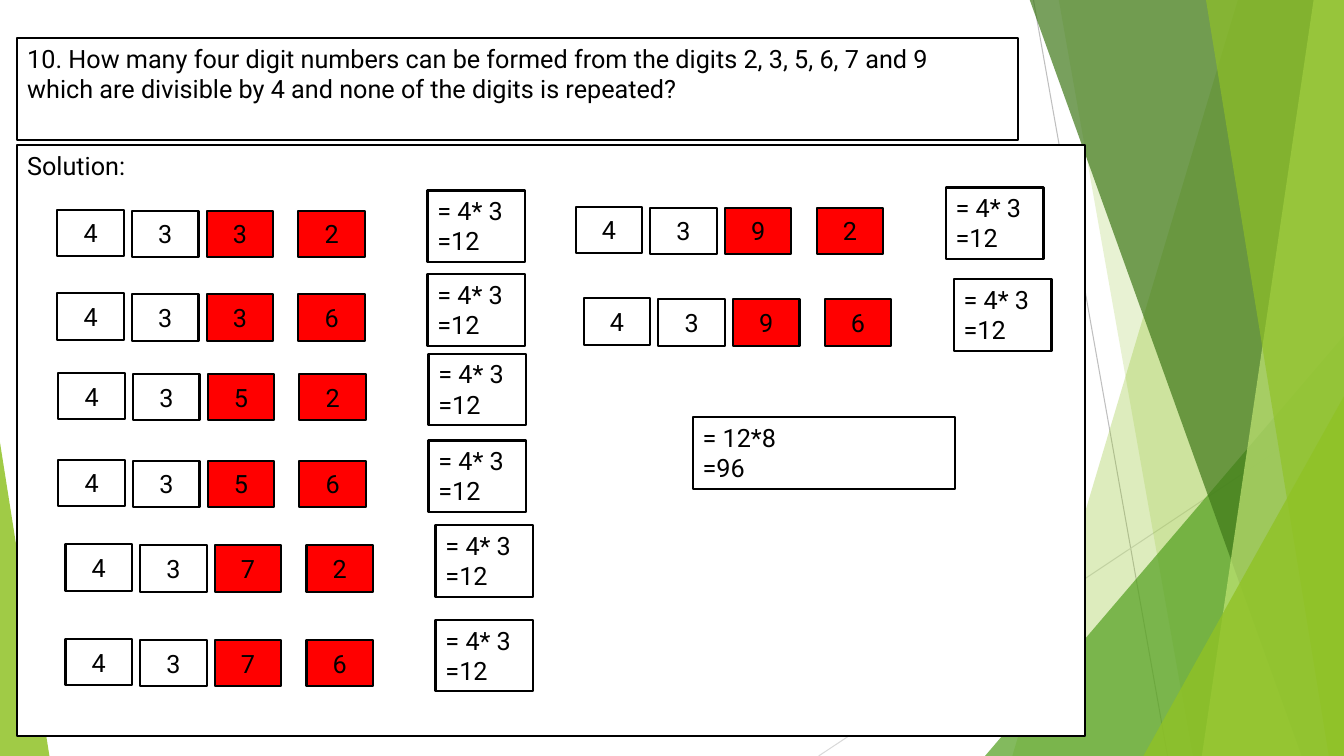
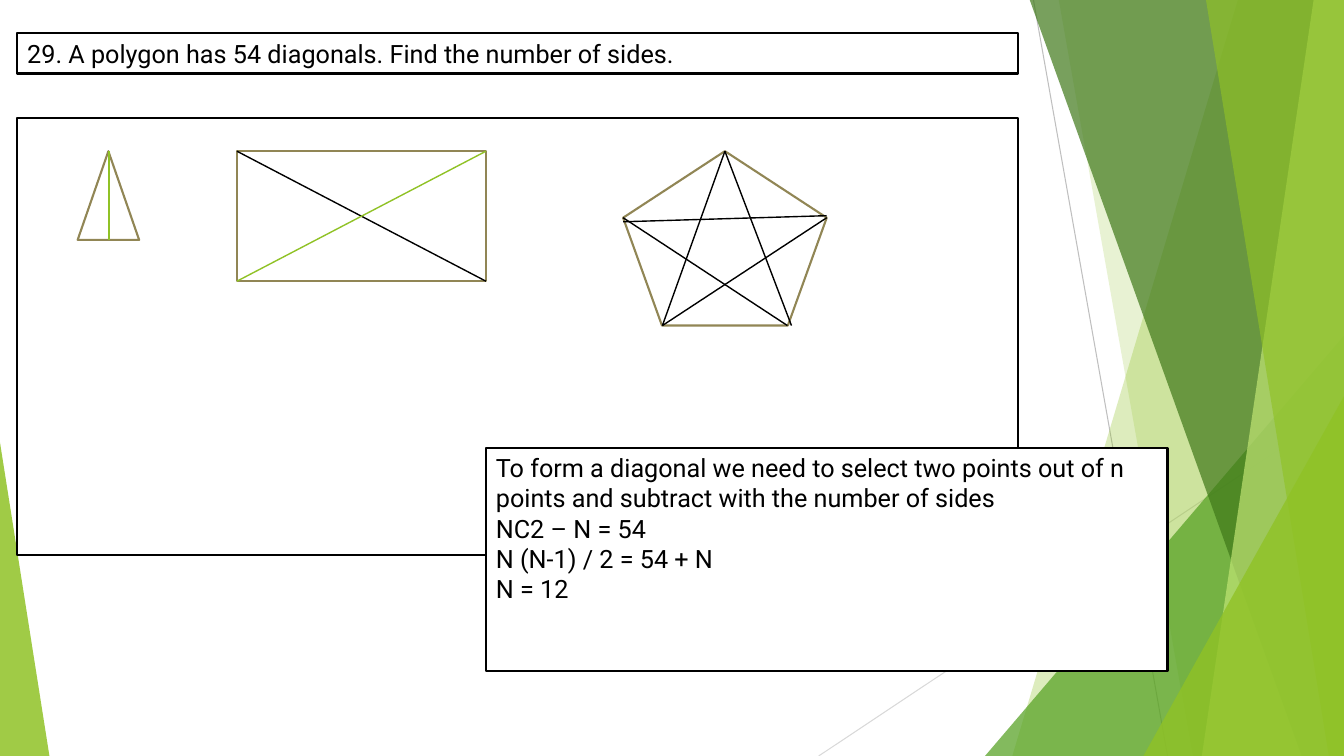
from dataclasses import dataclass

import pptx
import pptx.dml.color
import pptx.enum.shapes
import pptx.enum.text
import pptx.oxml.ns
import pptx.util
from lxml import etree

Inches = pptx.util.Inches
RGBColor = pptx.dml.color.RGBColor
Preset = pptx.enum.shapes.MSO_SHAPE
Anchor = pptx.enum.text.MSO_ANCHOR
Align = pptx.enum.text.PP_ALIGN

BLACK = RGBColor(0x00, 0x00, 0x00)
WHITE = RGBColor(0xFF, 0xFF, 0xFF)
RED = RGBColor(0xFF, 0x00, 0x00)
OLIVE = RGBColor(0x91, 0x86, 0x55)
GREEN = RGBColor(0x90, 0xC2, 0x26)
MID_GREEN = RGBColor(0x54, 0xA0, 0x21)
DARK_GREEN = RGBColor(0x3F, 0x78, 0x19)
PALE_GREEN = RGBColor(0xC0, 0xE4, 0x74)
GRAY = RGBColor(0xBF, 0xBF, 0xBF)
LIGHT_GRAY = RGBColor(0xD9, 0xD9, 0xD9)

FONT = "Roboto"
WIDTH, HEIGHT = 13.33, 7.5
BAND_TOP = -0.01
LEFT_MARGIN, QUESTION_WIDTH = 0.17, 9.93
DIGIT_SIZE = (0.66, 0.46)
DIGIT_OFFSETS = (0, 0.74, 1.48, 2.39)
RESULT_OFFSET = 3.67
RESULT_HEIGHT = 0.71


@dataclass(frozen=True)
class Box:
    left: float
    top: float
    width: float
    height: float

    def lengths(self) -> list:
        return [Inches(value) for value in (self.left, self.top, self.width, self.height)]


@dataclass(frozen=True)
class Band:
    top_left: float
    bottom_left: float
    color: RGBColor
    opacity: int


@dataclass(frozen=True)
class Wedge:
    box: Box
    peak: float
    color: RGBColor
    opacity: int


@dataclass(frozen=True)
class Segment:
    start: tuple[float, float]
    end: tuple[float, float]
    color: RGBColor = BLACK
    width: float = 1


@dataclass(frozen=True)
class DigitRow:
    left: float
    top: float
    digits: str


BACKGROUND_LINES = (
    Segment((10.25, 0), (11.58, HEIGHT), GRAY, 0.75),
    Segment((WIDTH, 4.03), (8.12, HEIGHT), LIGHT_GRAY, 0.75),
)
BACKGROUND_PANES = (
    Band(12.28, 10.04, GREEN, 30),
    Band(10.5, 11.83, GREEN, 20),
    Wedge(Box(9.77, 3.33, 3.56, 4.17), 1, MID_GREEN, 72),
    Band(10.21, 12.91, DARK_GREEN, 70),
    Band(13.03, 11.92, PALE_GREEN, 70),
    Band(11.96, 13.18, GREEN, 65),
    Wedge(Box(11.34, 3.93, 1.99, 3.57), 1, GREEN, 80),
    Wedge(Box(0, 4.39, 0.49, 3.11), 0, GREEN, 85),
)
DIGIT_ROWS = (
    DigitRow(0.57, 2.08, "4332"),
    DigitRow(0.57, 2.91, "4336"),
    DigitRow(0.58, 3.7, "4352"),
    DigitRow(0.58, 4.56, "4356"),
    DigitRow(0.65, 5.4, "4372"),
    DigitRow(0.65, 6.34, "4376"),
    DigitRow(5.71, 2.05, "4392"),
    DigitRow(5.79, 2.96, "4396"),
)
PENTAGON_DIAGONALS = (
    Segment((6.57, 3.23), (7.19, 1.5)),
    Segment((7.19, 1.5), (7.85, 3.23)),
    Segment((7.81, 3.23), (6.18, 2.16)),
    Segment((6.18, 2.2), (8.2, 2.14)),
    Segment((8.2, 2.16), (6.57, 3.23)),
)


def write_text(text_frame, text: str, *, align=Align.LEFT, anchor=Anchor.TOP,
               size: float = 18, color: RGBColor = BLACK) -> None:
    text_frame.text = text
    text_frame.word_wrap = True
    text_frame.auto_size = pptx.enum.text.MSO_AUTO_SIZE.NONE
    text_frame.vertical_anchor = anchor
    for paragraph in text_frame.paragraphs:
        paragraph.alignment = align
        for run in paragraph.runs:
            run.font.name = FONT
            run.font.size = pptx.util.Pt(size)
            run.font.color.rgb = color


def paint(shape, fill: RGBColor = WHITE, line: RGBColor = BLACK) -> None:
    shape.shadow.inherit = False
    shape.fill.solid()
    shape.fill.fore_color.rgb = fill
    shape.line.color.rgb = line
    shape.line.width = pptx.util.Pt(1.5)


def add_box(slide, box: Box, text: str = "", *, preset=Preset.RECTANGLE,
            fill: RGBColor = WHITE, line: RGBColor = BLACK, **text_format):
    shape = slide.shapes.add_shape(preset, *box.lengths())
    paint(shape, fill, line)
    if text:
        write_text(shape.text_frame, text, **text_format)
    return shape


def add_segment(slide, segment: Segment):
    connector = slide.shapes.add_connector(
        pptx.enum.shapes.MSO_CONNECTOR.STRAIGHT,
        *(Inches(value) for value in segment.start + segment.end))
    connector.line.color.rgb = segment.color
    connector.line.width = pptx.util.Pt(segment.width)
    etree.SubElement(connector.element.spPr, pptx.oxml.ns.qn("a:effectLst"))
    return connector


def add_pane(slide, pane: Band | Wedge):
    if isinstance(pane, Band):
        builder = slide.shapes.build_freeform(Inches(pane.top_left), Inches(BAND_TOP))
        corners = ((WIDTH, BAND_TOP), (WIDTH, HEIGHT), (pane.bottom_left, HEIGHT))
        builder.add_line_segments([(Inches(x), Inches(y)) for x, y in corners], close=True)
        shape = builder.convert_to_shape()
    else:
        shape = slide.shapes.add_shape(Preset.ISOSCELES_TRIANGLE, *pane.box.lengths())
        shape.adjustments[0] = pane.peak
    paint(shape, pane.color)
    shape.line.fill.background()
    color = shape.element.xpath("./p:spPr/a:solidFill/a:srgbClr")[0]
    etree.SubElement(color, pptx.oxml.ns.qn("a:alpha"), val=str(pane.opacity * 1000))
    return shape


def move_background_to_layout(slide) -> None:
    shapes = [add_segment(slide, segment) for segment in BACKGROUND_LINES]
    shapes += [add_pane(slide, pane) for pane in BACKGROUND_PANES]
    layout_tree = slide.slide_layout.shapes.element
    for index, shape in enumerate(shapes, start=2):
        layout_tree.insert(index, shape.element)


def add_question_slide(presentation, question: str, top: float, height: float):
    slide = presentation.slides.add_slide(presentation.slide_layouts[5])
    title = slide.shapes.title
    box = Box(LEFT_MARGIN, top, QUESTION_WIDTH, height)
    title.left, title.top, title.width, title.height = box.lengths()
    paint(title)
    write_text(title.text_frame, question)
    return slide


def add_digit_row(slide, row: DigitRow) -> None:
    for index, (digit, offset) in enumerate(zip(row.digits, DIGIT_OFFSETS)):
        top = row.top + (0.01 if index else 0)
        add_box(slide, Box(row.left + offset, top, *DIGIT_SIZE), digit,
                fill=RED if index >= 2 else WHITE, align=Align.CENTER, anchor=Anchor.MIDDLE)
    add_box(slide, Box(row.left + RESULT_OFFSET, row.top - 0.19, 0.97, RESULT_HEIGHT),
            "= 4* 3\n=12")


def build_digits_slide(presentation):
    slide = add_question_slide(
        presentation,
        "10. How many four digit numbers can be formed from the digits 2, 3, 5, 6, 7 and 9\n"
        "which are divisible by 4 and none of the digits is repeated?", 0.38, 1.01)
    add_box(slide, Box(LEFT_MARGIN, 1.44, 10.59, 5.86), "Solution:")
    for row in DIGIT_ROWS:
        add_digit_row(slide, row)
    add_box(slide, Box(6.87, 4.14, 2.6, RESULT_HEIGHT), "= 12*8\n=96")
    return slide


def build_polygon_slide(presentation):
    slide = add_question_slide(
        presentation, "29. A polygon has 54 diagonals. Find the number of sides.", 0.33, 0.4)
    add_box(slide, Box(LEFT_MARGIN, 1.17, QUESTION_WIDTH, 4.34))
    add_box(slide, Box(4.82, 4.44, 6.76, 2.22),
            "To form a diagonal we need to select two points out of n points "
            "and subtract with the number of sides\n"
            "NC2 – N = 54\nN (N-1) / 2 = 54 + N\nN = 12")
    add_box(slide, Box(0.77, 1.5, 0.61, 0.88), preset=Preset.ISOSCELES_TRIANGLE, line=OLIVE)
    add_segment(slide, Segment((1.08, 1.5), (1.08, 2.38), GREEN))
    add_box(slide, Box(2.35, 1.5, 2.47, 1.29), line=OLIVE)
    add_segment(slide, Segment((2.35, 1.5), (4.82, 2.79)))
    add_segment(slide, Segment((2.35, 2.79), (4.82, 1.5), GREEN))
    add_box(slide, Box(6.18, 1.5, 2.02, 1.73), preset=Preset.REGULAR_PENTAGON, line=OLIVE)
    for diagonal in PENTAGON_DIAGONALS:
        add_segment(slide, diagonal)
    return slide


def main() -> None:
    presentation = pptx.Presentation()
    presentation.slide_width = Inches(WIDTH)
    presentation.slide_height = Inches(HEIGHT)
    digits_slide = build_digits_slide(presentation)
    move_background_to_layout(digits_slide)
    build_polygon_slide(presentation)
    presentation.save("out.pptx")


if __name__ == "__main__":
    main()
